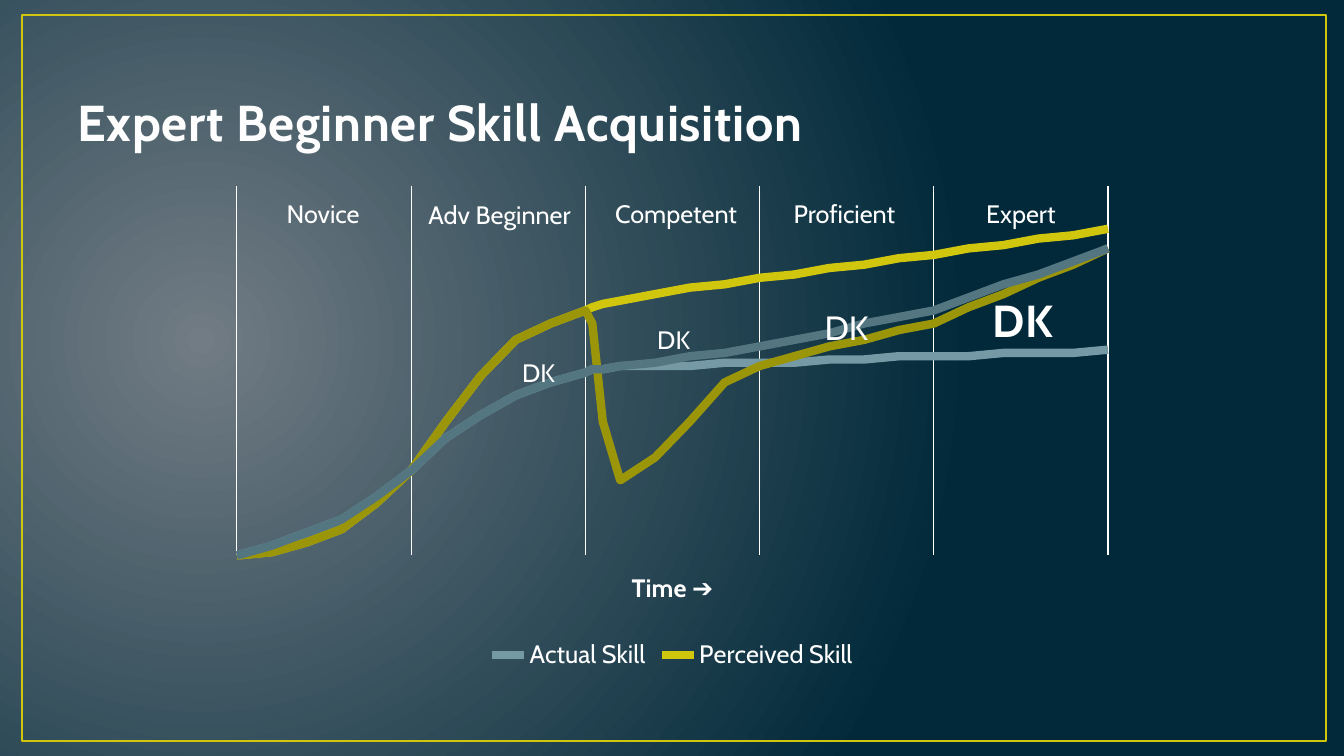
from lxml import etree
from pptx import Presentation
from pptx.chart.data import XyChartData
from pptx.dml.color import RGBColor
from pptx.enum.chart import XL_CHART_TYPE as CHART, XL_LEGEND_POSITION as LEGEND
from pptx.enum.shapes import MSO_SHAPE as SHAPE
from pptx.enum.text import MSO_ANCHOR as ANCHOR, PP_ALIGN as ALIGN
from pptx.oxml import parse_xml
from pptx.oxml.ns import nsdecls, qn
from pptx.util import Inches, Pt

WHITE = RGBColor(0xFF, 0xFF, 0xFF)
TITLE_WHITE = RGBColor(0xFE, 0xFE, 0xFE)
GOLD = RGBColor(0xCF, 0xC6, 0x0D)
DARK_GOLD = RGBColor(0x9B, 0x95, 0x0A)
TEAL = RGBColor(0x75, 0x9A, 0xA5)
DARK_TEAL = RGBColor(0x53, 0x76, 0x80)
GLOW = RGBColor(0x71, 0x7C, 0x84)
NAVY = RGBColor(0x01, 0x29, 0x3A)
FONT = "Cabin"

# Skill curves: shared beginnings, then the two ways they continue
TIMES = [*range(11), 10.2, 10.5, *range(11, 26)]
ACTUAL_START = [0, 3, 7, 11, 18, 26, 36, 43, 49, 53, 56, 57, 57, 58]
PERCEIVED_START = [0, 1, 4, 8, 16, 26, 41, 55, 66, 71, 75]
CURVES = [
    ("Series 1", DARK_TEAL, ACTUAL_START
     + [59, 61, 62, 64, 66, 68, 71, 73, 75, 79, 83, 86, 90, 94]),
    ("Series 2", DARK_GOLD, PERCEIVED_START
     + [71, 41, 23, 30, 41, 53, 58, 61, 64, 66, 69, 71, 76, 80, 85, 89, 94]),
    ("Actual Skill", TEAL, ACTUAL_START
     + [58, 58, 59, 59, 59, 60, 60, 61, 61, 61, 62, 62, 62, 63]),
    ("Perceived Skill", GOLD, PERCEIVED_START
     + [76, 77, 78, 80, 82, 83, 85, 86, 88, 89, 91, 92, 94, 95, 97, 98, 100]),
]
HIDDEN_LEGEND_ENTRIES = (0, 1)

# Stage name with its left and top inside the chart box
STAGES = [("Novice", 0.16, 0.17), ("Adv Beginner", 1.91, 0.18),
          ("Competent", 3.66, 0.17), ("Proficient", 5.33, 0.17),
          ("Expert", 7.08, 0.17)]
# DK mark: left, top, width, height inside the chart box, size, bold
DK_MARKS = [(2.91, 1.75, 0.75, 0.4, 18, False),
            (4.25, 1.42, 0.75, 0.4, 18, False),
            (5.91, 1.25, 0.75, 0.5, 24, False),
            (7.58, 1.11, 1.42, 0.64, 32, True)]


def add_text(slide, text, left, top, width, height, size, color=WHITE,
             bold=False, align=ALIGN.LEFT, anchor=ANCHOR.TOP):
    box = slide.shapes.add_textbox(Inches(left), Inches(top),
                                   Inches(width), Inches(height))
    tf = box.text_frame
    tf.word_wrap = True
    tf.vertical_anchor = anchor
    p = tf.paragraphs[0]
    p.alignment = align
    r = p.add_run()
    r.text = text
    r.font.name, r.font.size = FONT, Pt(size)
    r.font.bold = bold
    r.font.color.rgb = color
    return r


def add_backdrop(slide, left, top, width, height):
    # Radial glow
    fill = slide.background.fill
    fill.gradient()
    for stop, color, position in zip(fill.gradient_stops, (GLOW, NAVY), (0, 1)):
        stop.color.rgb = color
        stop.position = position
    grad = slide.background._cSld.find(".//" + qn("a:gradFill"))
    grad.replace(grad.find(qn("a:lin")), parse_xml(
        f'<a:path {nsdecls("a")} path="circle">'
        '<a:fillToRect l="15000" t="50000" r="85000" b="60000"/></a:path>'))
    # Frame
    s = slide.shapes.add_shape(SHAPE.RECTANGLE, Inches(left), Inches(top),
                               Inches(width), Inches(height))
    s.shadow.inherit = False
    s.fill.background()
    s.line.color.rgb = GOLD
    s.line.width = Pt(1.5)


def add_title(slide, left, top, width, height):
    r = add_text(slide, "Expert Beginner Skill Acquisition", left, top, width,
                 height, 36, TITLE_WHITE, True, anchor=ANCHOR.BOTTOM)
    r.font._element.set("spc", "50")


def style_axes(chart):
    time, skill = chart.category_axis, chart.value_axis
    for axis, top in ((time, 25), (skill, 113)):
        axis.minimum_scale, axis.maximum_scale = 0, top
        axis.visible = False
    skill.has_major_gridlines = False
    time.major_unit = 5
    time.has_major_gridlines = True
    grid = time.major_gridlines.format.line
    grid.color.rgb = WHITE
    grid.width = Pt(0.75)
    r = time.axis_title.text_frame.paragraphs[0].add_run()
    r.text = "Time ➔"
    r.font.name, r.font.size, r.font.bold = FONT, Pt(18), True
    r.font.color.rgb = WHITE


def style_legend(chart):
    chart.has_legend = True
    legend = chart.legend
    legend.position = LEGEND.BOTTOM
    legend.include_in_layout = False
    legend.font.name, legend.font.size = FONT, Pt(18)
    legend.font.color.rgb = WHITE
    position = legend._element.find(qn("c:legendPos"))
    for index in reversed(HIDDEN_LEGEND_ENTRIES):
        position.addnext(parse_xml(
            f'<c:legendEntry {nsdecls("c")}><c:idx val="{index}"/>'
            '<c:delete val="1"/></c:legendEntry>'))


def fix_plot_area(chart, x, y, w, h):
    area = chart._chartSpace.find(".//" + qn("c:plotArea"))
    for old in area.findall(qn("c:layout")):
        area.remove(old)
    layout = etree.Element(qn("c:layout"))
    manual = etree.SubElement(layout, qn("c:manualLayout"))
    settings = [("layoutTarget", "inner"), ("xMode", "edge"), ("yMode", "edge"),
                ("x", x), ("y", y), ("w", w), ("h", h)]
    for tag, value in settings:
        etree.SubElement(manual, qn("c:" + tag)).set("val", str(value))
    area.insert(0, layout)


def add_skill_chart(slide, left, top, width, height):
    data = XyChartData()
    for name, _, skills in CURVES:
        series = data.add_series(name)
        for time, skill in zip(TIMES, skills):
            series.add_data_point(time, skill)
    chart = slide.shapes.add_chart(
        CHART.XY_SCATTER_SMOOTH_NO_MARKERS, Inches(left), Inches(top),
        Inches(width), Inches(height), data).chart
    chart.has_title = False
    chart.font.name, chart.font.size = FONT, Pt(18)
    chart.font.color.rgb = WHITE
    chart.plots[0].vary_by_categories = False
    for series, (_, color, _) in zip(chart.plots[0].series, CURVES):
        series.format.line.color.rgb = color
        series.format.line.width = Pt(6)
    style_axes(chart)
    style_legend(chart)
    fix_plot_area(chart, 0.02, 0.02, 0.96, 0.74)


def add_chart_labels(slide, left, top):
    for x, y, w, h, size, bold in DK_MARKS:
        add_text(slide, "DK", left + x, top + y, w, h, size, bold=bold)
    for name, x, y in STAGES:
        add_text(slide, name, left + x, top + y, 1.75, 0.4, 18,
                 align=ALIGN.CENTER)


def main():
    prs = Presentation()
    prs.slide_width, prs.slide_height = Inches(13.33), Inches(7.5)
    slide = prs.slides.add_slide(prs.slide_layouts[6])
    add_backdrop(slide, 0.22, 0.15, 12.93, 7.2)
    add_title(slide, 0.67, 0.3, 12, 1.25)
    add_skill_chart(slide, 2.17, 1.75, 9, 4.95)
    add_chart_labels(slide, 2.17, 1.75)
    prs.save("out.pptx")


if __name__ == "__main__":
    main()
